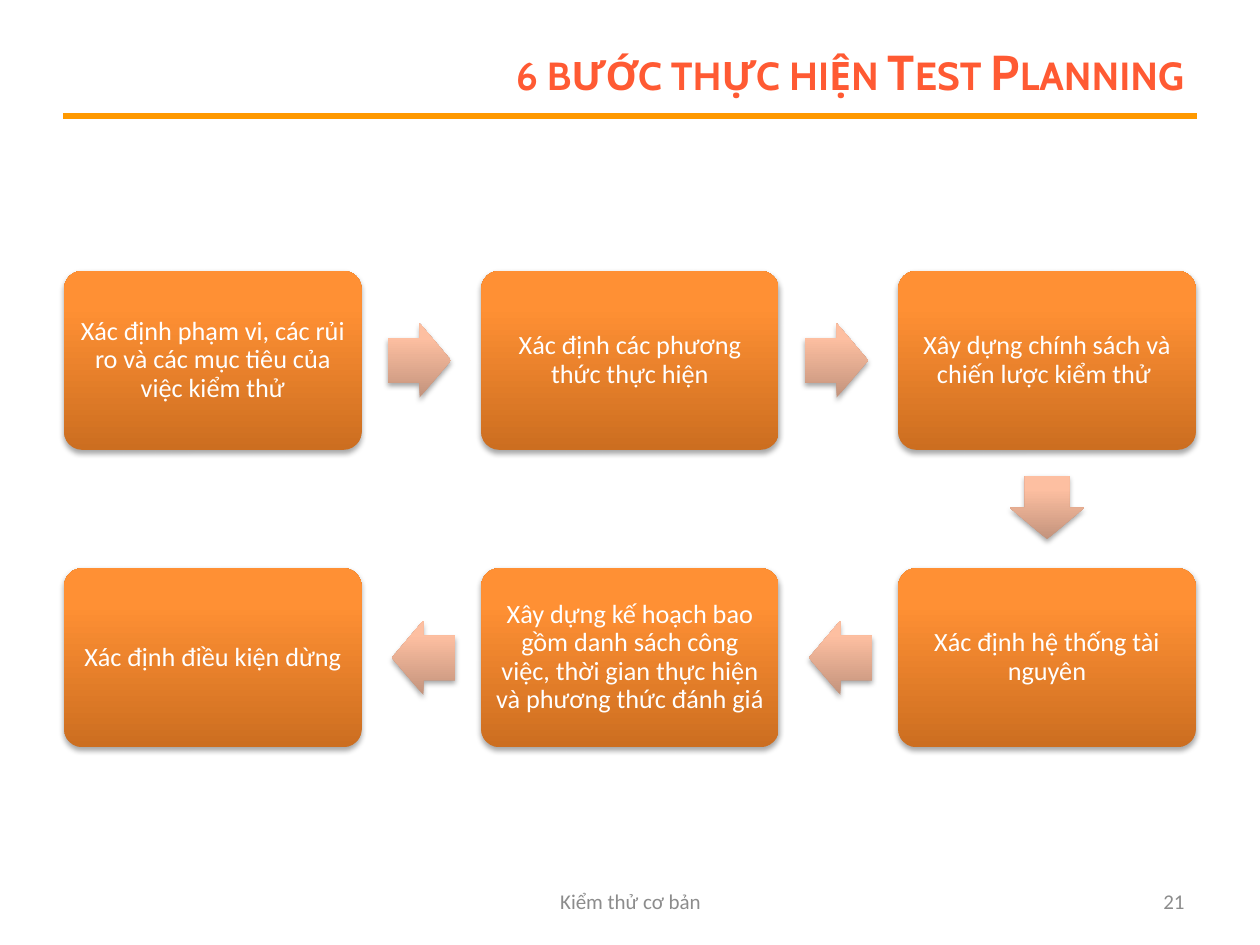
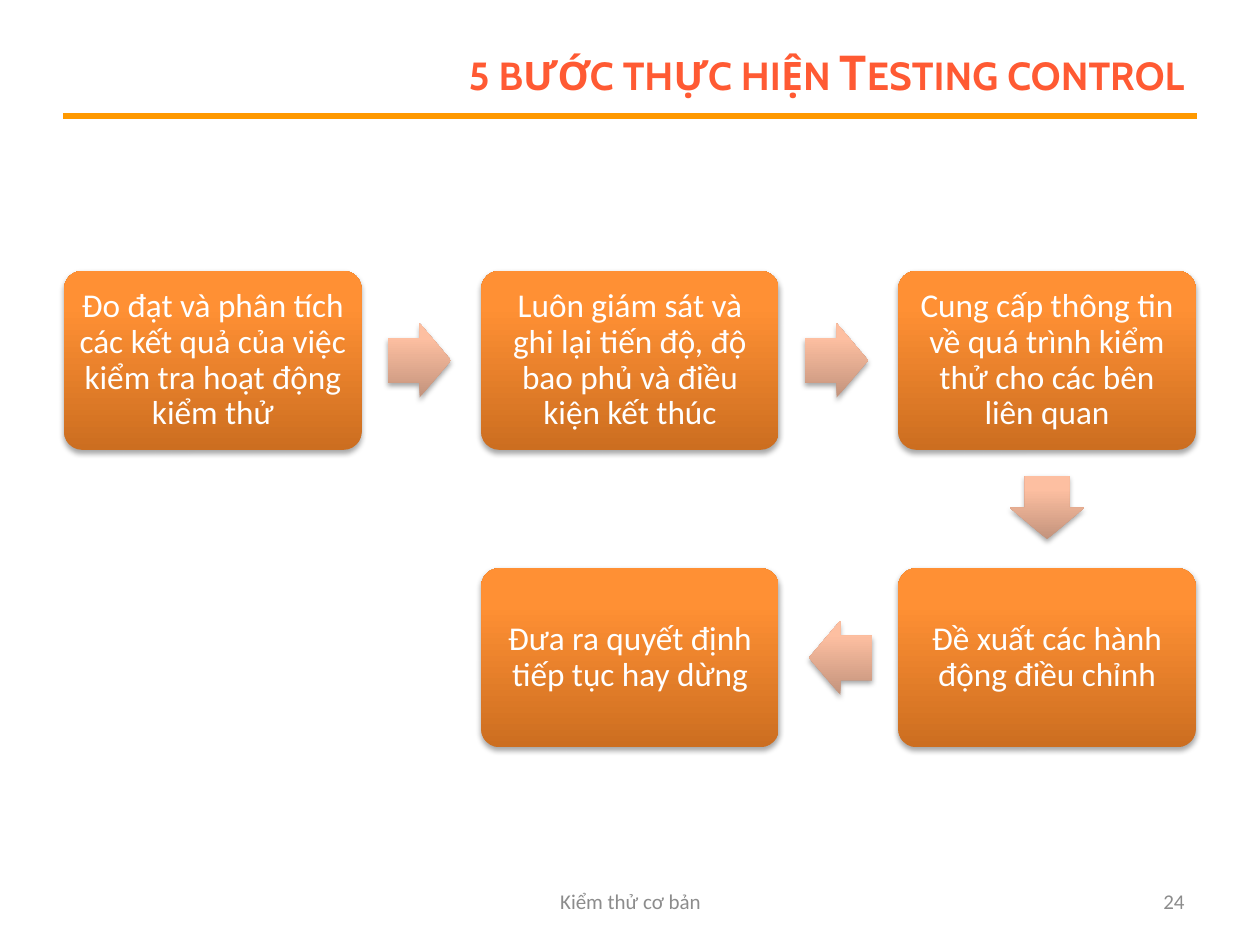
from dataclasses import dataclass
from itertools import pairwise

from lxml import etree
from pptx import Presentation
from pptx import util as u
from pptx.dml.color import RGBColor
from pptx.enum import shapes, text
from pptx.oxml import parse_xml
from pptx.oxml.ns import nsdecls, qn

COLORS = {
    "title": "FF5A33", "rule": "FF9900", "footer": "8C8C8C", "step_text": "FFFFFF",
    "shadow": "000000",
    "step_dark": "CC6E20", "step_mid": "FF9034", "step_light": "FF9136",
    "arrow_dark": "C3937C", "arrow_mid": "FDBFA1", "arrow_light": "FFBFA1",
}
STEP_GRADIENT = ("step_dark", "step_mid", "step_light")
ARROW_GRADIENT = ("arrow_dark", "arrow_mid", "arrow_light")
GRADIENT_STOPS = (0, 80, 100)
FOOTER = "Kiểm thử cơ bản"

# Snake grid: left to right, then back from right to left
COLUMNS = 3
GRID_LEFT, GRID_TOP = 0.51, 2.15
STEP_W, STEP_H = 2.36, 1.42
PITCH_X, PITCH_Y = 3.31, 2.36
ARROW_W, ARROW_H, ARROW_GAP = 0.5, 0.59, 0.21
ROTATIONS = {(1, 0): 0, (0, 1): 90, (-1, 0): 180}


@dataclass(frozen=True)
class TextStyle:
    font: str
    size: int
    color: str
    align: text.PP_ALIGN
    bold: bool = False
    small_caps: bool = False
    spacing: float = 1.0


@dataclass(frozen=True)
class ProcessSlide:
    title: str
    number: int
    text_size: int
    inset: float
    steps: tuple[str, ...]


TITLE_STYLE = TextStyle("Cabin", 28, "title", text.PP_ALIGN.RIGHT, bold=True, small_caps=True)
FOOTER_STYLE = TextStyle("Calibri", 12, "footer", text.PP_ALIGN.CENTER)
NUMBER_STYLE = TextStyle("Calibri", 12, "footer", text.PP_ALIGN.RIGHT)

PROCESSES = (
    ProcessSlide("6 bước thực hiện Test Planning", 21, 15, 0.06, (
        "Xác định phạm vi, các rủi ro và các mục tiêu của việc kiểm thử",
        "Xác định các phương thức thực hiện",
        "Xây dựng chính sách và chiến lược kiểm thử ",
        "Xác định hệ thống tài nguyên",
        "Xây dựng kế hoạch bao gồm danh sách công việc, "
        "thời gian thực hiện và phương thức đánh giá",
        "Xác định điều kiện dừng",
    )),
    ProcessSlide("5 bước thực hiện Testing control", 24, 19, 0.08, (
        "Đo đạt và phân tích các kết quả của việc kiểm tra hoạt động kiểm thử",
        "Luôn giám sát và ghi lại tiến độ, độ bao phủ và điều kiện kết thúc",
        "Cung cấp thông tin về quá trình kiểm thử cho các bên liên quan",
        "Đề xuất các hành động điều chỉnh",
        "Đưa ra quyết định tiếp tục hay dừng",
    )),
)


def write(shape, wording: str, style: TextStyle, inset: float | None = None) -> None:
    """Fill a shape with one formatted paragraph."""
    frame = shape.text_frame
    frame.word_wrap = True
    frame.vertical_anchor = text.MSO_ANCHOR.MIDDLE
    if inset is not None:
        for side in ("left", "top", "right", "bottom"):
            setattr(frame, f"margin_{side}", u.Inches(inset))
    paragraph = frame.paragraphs[0]
    paragraph.alignment = style.align
    paragraph.line_spacing = style.spacing
    run = paragraph.add_run()
    run.text = wording
    formats = {"name": style.font, "size": u.Pt(style.size), "bold": style.bold}
    for attribute, value in formats.items():
        setattr(run.font, attribute, value)
    run.font.color.rgb = RGBColor.from_string(COLORS[style.color])
    if style.small_caps:
        run.font._element.set("cap", "small")


def place(shape, left: float, top: float, width: float, height: float) -> None:
    box = {"left": left, "top": top, "width": width, "height": height}
    for attribute, value in box.items():
        setattr(shape, attribute, u.Inches(value))


def add_block(slide, preset: shapes.MSO_SHAPE, center: tuple[float, float],
              size: tuple[float, float], gradient: tuple[str, ...],
              adjustments: tuple[float, ...]):
    """Draw a shape around its centre, with upright gradient and soft shadow."""
    (x, y), (width, height) = center, size
    block = slide.shapes.add_shape(preset, *map(
        u.Inches, (x - width / 2, y - height / 2, width, height)))
    for index, value in enumerate(adjustments):
        block.adjustments[index] = value
    block.line.fill.background()
    stops = "".join(
        f'<a:gs pos="{stop * 1000}"><a:srgbClr val="{COLORS[color]}"/></a:gs>'
        for stop, color in zip(GRADIENT_STOPS, gradient))
    properties = block._element.spPr
    properties.find(qn("a:prstGeom")).addnext(parse_xml(
        f'<a:gradFill {nsdecls("a")} rotWithShape="0"><a:gsLst>{stops}</a:gsLst>'
        '<a:lin ang="16200000" scaled="0"/></a:gradFill>'))
    properties.append(parse_xml(
        f'<a:effectLst {nsdecls("a")}><a:outerShdw blurRad="{u.Pt(3.1)}" '
        f'dist="{u.Pt(1.8)}" dir="5400000" rotWithShape="0">'
        f'<a:srgbClr val="{COLORS["shadow"]}"><a:alpha val="35000"/></a:srgbClr>'
        '</a:outerShdw></a:effectLst>'))
    return block


def grid_cell(index: int) -> tuple[int, int]:
    row, column = divmod(index, COLUMNS)
    return (COLUMNS - 1 - column if row % 2 else column), row


def step_center(cell: tuple[int, int]) -> tuple[float, float]:
    column, row = cell
    return (GRID_LEFT + column * PITCH_X + STEP_W / 2,
            GRID_TOP + row * PITCH_Y + STEP_H / 2)


def add_steps(slide, process: ProcessSlide) -> None:
    style = TextStyle("Calibri", process.text_size, "step_text",
                      text.PP_ALIGN.CENTER, spacing=0.9)
    cells = [grid_cell(index) for index in range(len(process.steps))]
    for cell, wording in zip(cells, process.steps):
        step = add_block(slide, shapes.MSO_SHAPE.ROUNDED_RECTANGLE, step_center(cell),
                         (STEP_W, STEP_H), STEP_GRADIENT, (0.1,))
        write(step, wording, style, process.inset)

    # Each arrow sits just past the step it leaves
    reach = ARROW_GAP + ARROW_W / 2
    for start, end in pairwise(cells):
        dx, dy = end[0] - start[0], end[1] - start[1]
        x, y = step_center(start)
        center = (x + dx * (STEP_W / 2 + reach), y + dy * (STEP_H / 2 + reach))
        arrow = add_block(slide, shapes.MSO_SHAPE.RIGHT_ARROW, center,
                          (ARROW_W, ARROW_H), ARROW_GRADIENT, (0.6, 0.5))
        arrow.rotation = ROTATIONS[dx, dy]


def add_frame(slide, process: ProcessSlide) -> None:
    """Draw the title, its rule and the footer."""
    rule = slide.shapes.add_connector(
        shapes.MSO_CONNECTOR.STRAIGHT, *map(u.Inches, (0.5, 0.92, 9.5, 0.92)))
    rule.line.color.rgb = RGBColor.from_string(COLORS["rule"])
    rule.line.width = u.Pt(3)
    etree.SubElement(rule._element.spPr, qn("a:effectLst"))

    title = slide.shapes.title
    place(title, 2.25, 0.3, 7.25, 0.53)
    write(title, process.title, TITLE_STYLE)

    footers = (
        (FOOTER, FOOTER_STYLE, (3.42, 6.95, 3.17, 0.4)),
        (str(process.number), NUMBER_STYLE, (7.17, 6.95, 2.33, 0.4)),
    )
    for wording, style, box in footers:
        write(slide.shapes.add_textbox(*map(u.Inches, box)), wording, style)


def main() -> None:
    deck = Presentation()
    deck.slide_width, deck.slide_height = u.Inches(10), u.Inches(7.5)
    title_only = deck.slide_layouts[5]
    for process in PROCESSES:
        slide = deck.slides.add_slide(title_only)
        add_frame(slide, process)
        add_steps(slide, process)
    deck.save("out.pptx")


if __name__ == "__main__":
    main()
